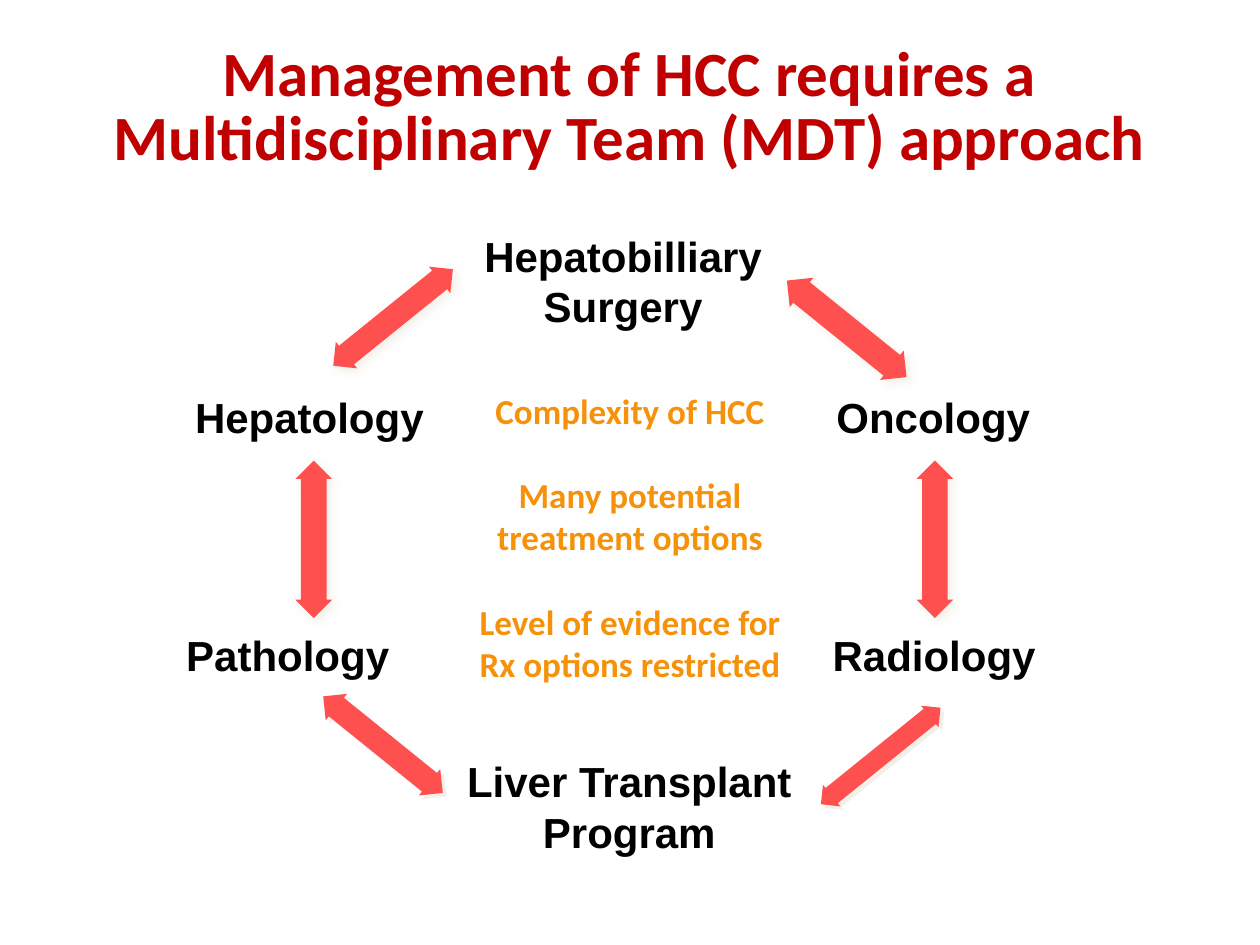
from lxml.etree import SubElement
from pptx import Presentation
from pptx.dml.color import RGBColor
from pptx.enum.shapes import MSO_SHAPE as Shape
from pptx.enum.text import MSO_ANCHOR as Anchor, PP_ALIGN as Align
from pptx.oxml.ns import qn
from pptx.util import Inches, Pt

COLORS = {"title": "C00000", "label": "000000", "reason": "F6910A",
          "arrow": "FF5050", "shadow": "EEECE1"}
FONTS = {
    "title": {"name": "Calibri", "size": Pt(36), "bold": True},
    "label": {"name": "Arial", "size": Pt(24), "bold": True},
    "reason": {"name": "Calibri", "size": Pt(20), "bold": True},
}


class TeamSlide:
    def __init__(self, deck):
        self.slide = deck.slides.add_slide(deck.slide_layouts[6])

    def text(self, style, lines, bounds, align=Align.CENTER, anchor=Anchor.TOP, **spacing):
        """Add one paragraph per line; spacing applies from the second paragraph on,
        except line_spacing, which applies to all."""
        box = self.slide.shapes.add_textbox(*map(Inches, bounds))
        frame = box.text_frame
        frame.word_wrap = True
        frame.vertical_anchor = anchor
        for index, line in enumerate(lines):
            para = frame.paragraphs[0] if index == 0 else frame.add_paragraph()
            para.alignment = align
            for name, value in spacing.items():
                if index or name == "line_spacing":
                    setattr(para, name, value)
            span = para.add_run()
            span.text = line
            for name, value in FONTS[style].items():
                setattr(span.font, name, value)
            span.font.color.rgb = RGBColor.from_string(COLORS[style])

    def arrow(self, center, width, length, rotation=0, blur=5):
        """Add a double-headed arrow, upright before rotation, around its center."""
        left, top = center[0] - width / 2, center[1] - length / 2
        shape = self.slide.shapes.add_shape(
            Shape.UP_DOWN_ARROW, *map(Inches, (left, top, width, length)))
        shape.adjustments[0], shape.adjustments[1] = 0.5, 0.7
        shape.rotation = rotation
        shape.fill.solid()
        shape.fill.fore_color.rgb = RGBColor.from_string(COLORS["arrow"])
        shape.line.fill.background()
        self.shadow(shape, blur)

    def shadow(self, shape, blur):
        shape.shadow.inherit = False
        effects = shape._element.spPr.find(qn("a:effectLst"))
        outer = SubElement(effects, qn("a:outerShdw"), blurRad=str(Pt(blur)),
                           dist=str(Pt(3)), dir=str(45 * 60000), rotWithShape="0")
        color = SubElement(outer, qn("a:srgbClr"), val=COLORS["shadow"])
        SubElement(color, qn("a:alpha"), val="75000")


def main():
    deck = Presentation()
    deck.slide_width, deck.slide_height = Inches(10), Inches(7.5)
    page = TeamSlide(deck)

    page.text("title", ["Management of HCC requires a Multidisciplinary Team (MDT) approach"],
              (0.42, 0.25, 9.15, 1.23), anchor=Anchor.MIDDLE, line_spacing=0.85)

    for label, bounds, align in [
        ("Hepatobilliary Surgery", (3.74, 1.78, 2.41, 0.91), Align.CENTER),
        ("Oncology", (6.54, 3.06, 1.85, 0.51), Align.LEFT),
        ("Radiology", (6.51, 4.95, 1.88, 0.51), Align.LEFT),
        ("Liver Transplant Program", (3.58, 5.95, 2.83, 0.91), Align.CENTER),
        ("Pathology", (1.38, 4.95, 2.26, 0.51), Align.LEFT),
        ("Hepatology", (1.45, 3.06, 2.13, 0.51), Align.LEFT),
    ]:
        page.text("label", [label], bounds, align)

    for center_x in (2.49, 7.42):
        page.arrow((center_x, 4.28), 0.29, 1.25)
    tilt = 51.1
    for center, width, rotation, blur in [
        ((3.12, 2.52), 0.27, tilt, 5),
        ((6.72, 2.61), 0.3, 360 - tilt, 5),
        ((3.04, 5.91), 0.27, 360 - tilt, 0),
        ((6.99, 6), 0.22, tilt, 0),
    ]:
        page.arrow(center, width, 1.22, rotation, blur)

    page.text("reason", ["Complexity of HCC", "Many potential treatment options",
                         "Level of evidence for Rx options restricted"],
              (3.66, 3.04, 2.68, 2.46), space_before=Pt(24.4))

    deck.save("out.pptx")


if __name__ == "__main__":
    main()
